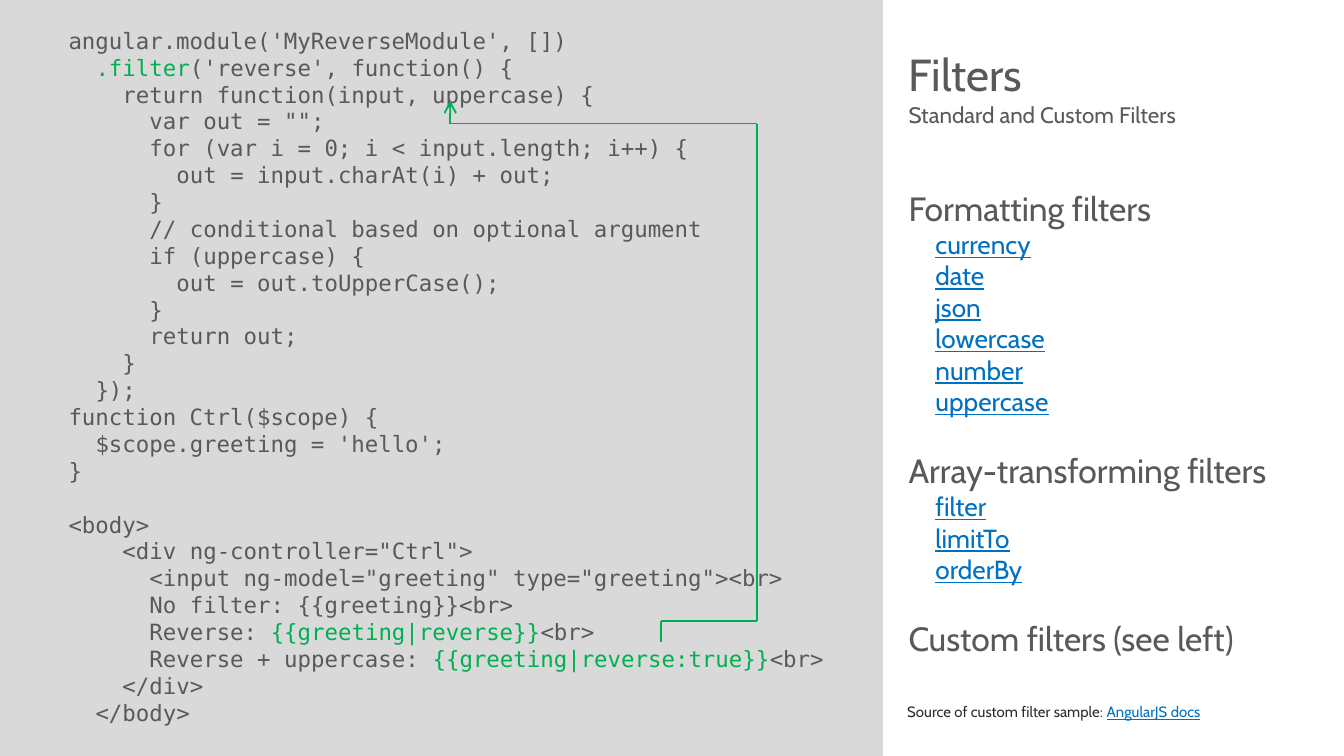
"""Build a slide that shows a custom filter beside a list of filters."""
from dataclasses import dataclass
from itertools import pairwise

from lxml import etree
from pptx import Presentation
from pptx.dml.color import RGBColor
from pptx.enum.shapes import MSO_CONNECTOR, MSO_SHAPE
from pptx.enum.text import MSO_ANCHOR, MSO_AUTO_SIZE, PP_ALIGN
from pptx.oxml.ns import qn
from pptx.util import Pt

STRAIGHT = MSO_CONNECTOR.STRAIGHT
RECT = MSO_SHAPE.RECTANGLE
TOP, BOTTOM = MSO_ANCHOR.TOP, MSO_ANCHOR.BOTTOM
NO_FIT = MSO_AUTO_SIZE.NONE
LEFT = PP_ALIGN.LEFT

GREY = RGBColor(0x59, 0x59, 0x59)
DARK = RGBColor(0x2C, 0x2C, 0x2C)
PANEL = RGBColor(0xD9, 0xD9, 0xD9)
GREEN = RGBColor(0x00, 0xB0, 0x50)
BLUE = RGBColor(0x00, 0x70, 0xC0)

SANS, MONO = "Cabin", "DejaVu Sans Mono"
MARK = "~"
LEADING = 1.2
CODE_STEP = 14.45
LIST_STEP = 14.4


@dataclass
class Line:
    text: str
    size: float
    margin: float = 0
    hang: float = 0
    gap: float = 0
    level: int = 0


@dataclass
class Block:
    box: tuple[float, float, float, float]
    lines: list[Line]
    font: str = SANS
    ink: RGBColor = GREY
    accent: RGBColor = BLUE
    under: bool = True
    anchor: MSO_ANCHOR = TOP


def code(depth: int, text: str) -> Line:
    gap = 12 * LEADING if text == "<body>" else 0
    return Line(text, 12, depth * CODE_STEP, gap=gap)


def head(text: str, gap: float = 18) -> Line:
    return Line(text, 18, LIST_STEP, -LIST_STEP, gap)


def link(name: str) -> Line:
    return Line(MARK + name + MARK, 14, 2 * LIST_STEP, -LIST_STEP, level=1)


def write(para, line: Line, block: Block) -> None:
    para.alignment = LEFT
    para.level = line.level
    para.line_spacing = Pt(line.size * LEADING)
    para.space_before, para.space_after = Pt(line.gap), Pt(0)
    props = para._p.get_or_add_pPr()
    props.set("marL", str(Pt(line.margin)))
    props.set("indent", str(Pt(line.hang)))
    etree.SubElement(props, qn("a:buNone"))
    for pos, part in enumerate(line.text.split(MARK)):
        if not part:
            continue
        run = para.add_run()
        run.text = part
        marked = pos % 2 == 1
        font = run.font
        font.name, font.size, font.bold = block.font, Pt(line.size), False
        font.color.rgb = block.accent if marked else block.ink
        font.underline = marked and block.under


def fill(holder, block: Block) -> None:
    holder.left, holder.top, holder.width, holder.height = map(Pt, block.box)
    frame = holder.text_frame
    frame.margin_left = frame.margin_right = Pt(0)
    frame.margin_top = frame.margin_bottom = Pt(0)
    frame.word_wrap = True
    frame.auto_size = NO_FIT
    frame.vertical_anchor = block.anchor
    for pos, line in enumerate(block.lines):
        para = frame.add_paragraph() if pos else frame.paragraphs[0]
        write(para, line, block)


def add_panel(slide, width: float, height: float) -> None:
    panel = slide.shapes.add_shape(RECT, Pt(0), Pt(0), Pt(width), Pt(height))
    panel.shadow.inherit = False
    panel.fill.solid()
    panel.fill.fore_color.rgb = PANEL
    panel.line.fill.background()
    slide.shapes._spTree.insert(2, panel._element)


def add_arrow(slide, points: list[tuple[float, float]]) -> None:
    group = slide.shapes.add_group_shape()
    for start, end in pairwise(points):
        wire = group.shapes.add_connector(STRAIGHT, *map(Pt, start + end))
        wire.line.color.rgb = GREEN
        wire.line.width = Pt(1)
        etree.SubElement(wire._element.spPr, qn("a:effectLst"))
    etree.SubElement(wire.line._get_or_add_ln(), qn("a:tailEnd"), type="arrow")


CODE = [
    (0, "angular.module('MyReverseModule', [])"),
    (1, "~.filter~('reverse', function() {"),
    (2, "return function(input, uppercase) {"),
    (3, 'var out = "";'),
    (3, "for (var i = 0; i < input.length; i++) {"),
    (4, "out = input.charAt(i) + out;"),
    (3, "}"),
    (3, "// conditional based on optional argument"),
    (3, "if (uppercase) {"),
    (4, "out = out.toUpperCase();"),
    (3, "}"),
    (3, "return out;"),
    (2, "}"),
    (1, "});"),
    (0, "function Ctrl($scope) {"),
    (1, "$scope.greeting = 'hello';"),
    (0, "}"),
    (0, "<body>"),
    (2, '<div ng-controller="Ctrl">'),
    (3, '<input ng-model="greeting" type="greeting"><br>'),
    (3, "No filter: {{greeting}}<br>"),
    (3, "Reverse: ~{{greeting|reverse}}~<br>"),
    (3, "Reverse + uppercase: ~{{greeting|reverse:true}}~<br>"),
    (2, "</div>"),
    (1, "</body>"),
]
FORMATS = ["currency", "date", "json", "lowercase", "number", "uppercase"]
ARRAYS = ["filter", "limitTo", "orderBy"]
FILTERS = [
    head("Formatting filters", 0), *map(link, FORMATS),
    head("Array-transforming filters"), *map(link, ARRAYS),
    head("Custom filters (see left)"),
]
CREDIT = "Source of custom filter sample: ~AngularJS docs~"
BLOCKS = [
    Block((486.7, 14.4, 213, 39.6), [Line("Filters", 24)], anchor=BOTTOM),
    Block((486.7, 54, 213, 30), [Line("Standard and Custom Filters", 12)]),
    Block((36.7, 14.4, 420, 371.5), [code(*row) for row in CODE],
          font=MONO, accent=GREEN, under=False),
    Block((486, 357, 214, 29), [Line(CREDIT, 8)], ink=DARK, anchor=BOTTOM),
    Block((486.7, 100.8, 214, 285), FILTERS),
]
ROUTE = [(354.2, 344.2), (354.2, 332.6), (405.4, 332.6),
         (405.4, 66.2), (241.2, 66.2), (241.2, 54)]

deck = Presentation()
deck.slide_width, deck.slide_height = Pt(720), Pt(405)
slide = deck.slides.add_slide(deck.slide_layouts.get_by_name("Comparison"))
add_panel(slide, 473, 405)
for holder, block in zip(slide.placeholders, BLOCKS):
    fill(holder, block)
add_arrow(slide, ROUTE)
deck.save("out.pptx")
